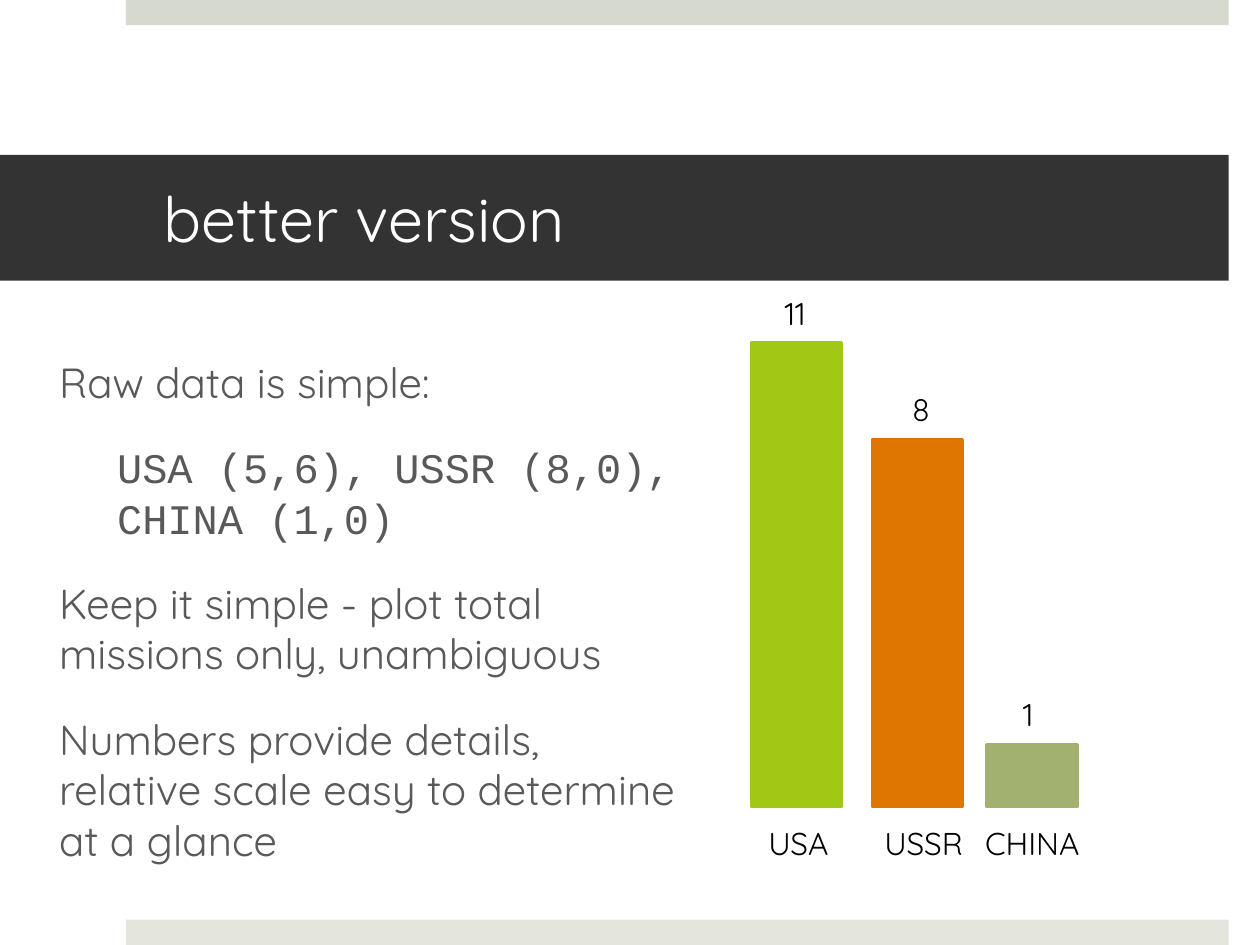
from dataclasses import dataclass

from lxml import etree
from pptx import Presentation
from pptx import util as u
from pptx.dml.color import RGBColor
from pptx.enum import shapes, text
from pptx.oxml.ns import qn


@dataclass(frozen=True)
class Theme:
    font: str = "Quicksand"
    code_font: str = "Courier New"
    title_size: int = 36
    body_size: int = 24
    label_size: int = 18
    line_pitch: float = 28.8
    paragraph_gap: int = 20
    title_fill: str = "333333"
    title_text: str = "FFFFFF"
    body_text: str = "595959"
    label_text: str = "000000"


THEME = Theme()
TITLE = "better version"
POINTS = [
    ("Raw data is simple:", THEME.font, 0.1),
    ("USA (5,6), USSR (8,0), CHINA (1,0)", THEME.code_font, 1.27),
    ("Keep it simple - plot total missions only, unambiguous", THEME.font, 0.1),
    ("Numbers provide details, relative scale easy to determine at a glance", THEME.font, 0.1),
]
BANDS = [(0, "D6D9CD"), (18.54, "E4E6DE")]
MISSIONS = [
    dict(country="USA", total="11", color="A2C816", left=15.14, height=9.36,
         total_left=15.57, country_left=15.24, country_width=1.75),
    dict(country="USSR", total="8", color="E07602", left=17.58, height=7.41,
         total_left=18.14, country_left=17.58, country_width=2.24),
    dict(country="CHINA", total="1", color="A2B170", left=19.89, height=1.26,
         total_left=20.37, country_left=19.61, country_width=2.82),
]
BASELINE, BAR_WIDTH = 16.27, 1.83
COUNTRY_TOP, LABEL_HEIGHT, TOTAL_WIDTH = 16.36, 1.24, 1.75


def place(part, left, top, width, height):
    part.left, part.top = u.Cm(left), u.Cm(top)
    part.width, part.height = u.Cm(width), u.Cm(height)


def set_frame(frame, anchor, left, top, right, bottom):
    frame.word_wrap = True
    frame.auto_size = text.MSO_AUTO_SIZE.NONE
    frame.vertical_anchor = anchor
    frame.margin_left, frame.margin_top = u.Cm(left), u.Cm(top)
    frame.margin_right, frame.margin_bottom = u.Cm(right), u.Cm(bottom)


def set_font(paragraph, name, size, color):
    paragraph.alignment = text.PP_ALIGN.LEFT
    paragraph.font.name = name
    paragraph.font.size = u.Pt(size)
    paragraph.font.color.rgb = RGBColor.from_string(color)


def add_block(slide, left, top, width, height, color, outline=0):
    block = slide.shapes.add_shape(
        shapes.MSO_SHAPE.RECTANGLE, u.Cm(left), u.Cm(top), u.Cm(width), u.Cm(height))
    block.shadow.inherit = False
    block.fill.solid()
    block.fill.fore_color.rgb = RGBColor.from_string(color)
    if outline:
        block.line.color.rgb = RGBColor.from_string(color)
        block.line.width = u.Pt(outline)
    else:
        block.line.fill.background()


def add_label(slide, words, left, top, width):
    label = slide.shapes.add_textbox(u.Cm(left), u.Cm(top), u.Cm(width), u.Cm(LABEL_HEIGHT))
    set_frame(label.text_frame, text.MSO_ANCHOR.TOP, 0.25, 0.25, 0.25, 0.25)
    label.text_frame.text = words
    set_font(label.text_frame.paragraphs[0], THEME.font, THEME.label_size, THEME.label_text)


def fill_title(title):
    place(title, 0, 3.12, 24.77, 2.54)
    title.fill.solid()
    title.fill.fore_color.rgb = RGBColor.from_string(THEME.title_fill)
    set_frame(title.text_frame, text.MSO_ANCHOR.MIDDLE, 3.3, 0.13, 0.76, 0.13)
    title.text_frame.text = TITLE
    set_font(title.text_frame.paragraphs[0], THEME.font, THEME.title_size, THEME.title_text)


def fill_body(body):
    place(body, 0.84, 6.93, 13.36, 10.19)
    set_frame(body.text_frame, text.MSO_ANCHOR.TOP, 0.25, 0.25, 0.25, 0.25)
    for index, (words, font, indent) in enumerate(POINTS):
        point = body.text_frame.add_paragraph() if index else body.text_frame.paragraphs[0]
        point.text = words
        properties = point._p.get_or_add_pPr()
        properties.set("marL", str(u.Cm(indent)))
        properties.set("indent", "0")
        etree.SubElement(properties, qn("a:buNone"))
        point.line_spacing = u.Pt(THEME.line_pitch)
        point.space_before = u.Pt(THEME.paragraph_gap if index else 0)
        set_font(point, font, THEME.body_size, THEME.body_text)


def main():
    deck = Presentation()
    deck.slide_width, deck.slide_height = u.Cm(25.4), u.Cm(19.05)
    slide = deck.slides.add_slide(deck.slide_layouts[1])
    fill_title(slide.shapes.title)
    fill_body(slide.placeholders[1])
    for top, color in BANDS:
        add_block(slide, 2.54, top, 22.23, 0.51, color)
    for mission in MISSIONS:
        bar_top = BASELINE - mission["height"]
        add_block(slide, mission["left"], bar_top, BAR_WIDTH, mission["height"],
                  mission["color"], outline=1.5)
        add_label(slide, mission["total"], mission["total_left"],
                  bar_top - LABEL_HEIGHT, TOTAL_WIDTH)
        add_label(slide, mission["country"], mission["country_left"],
                  COUNTRY_TOP, mission["country_width"])
    deck.save("out.pptx")


if __name__ == "__main__":
    main()
